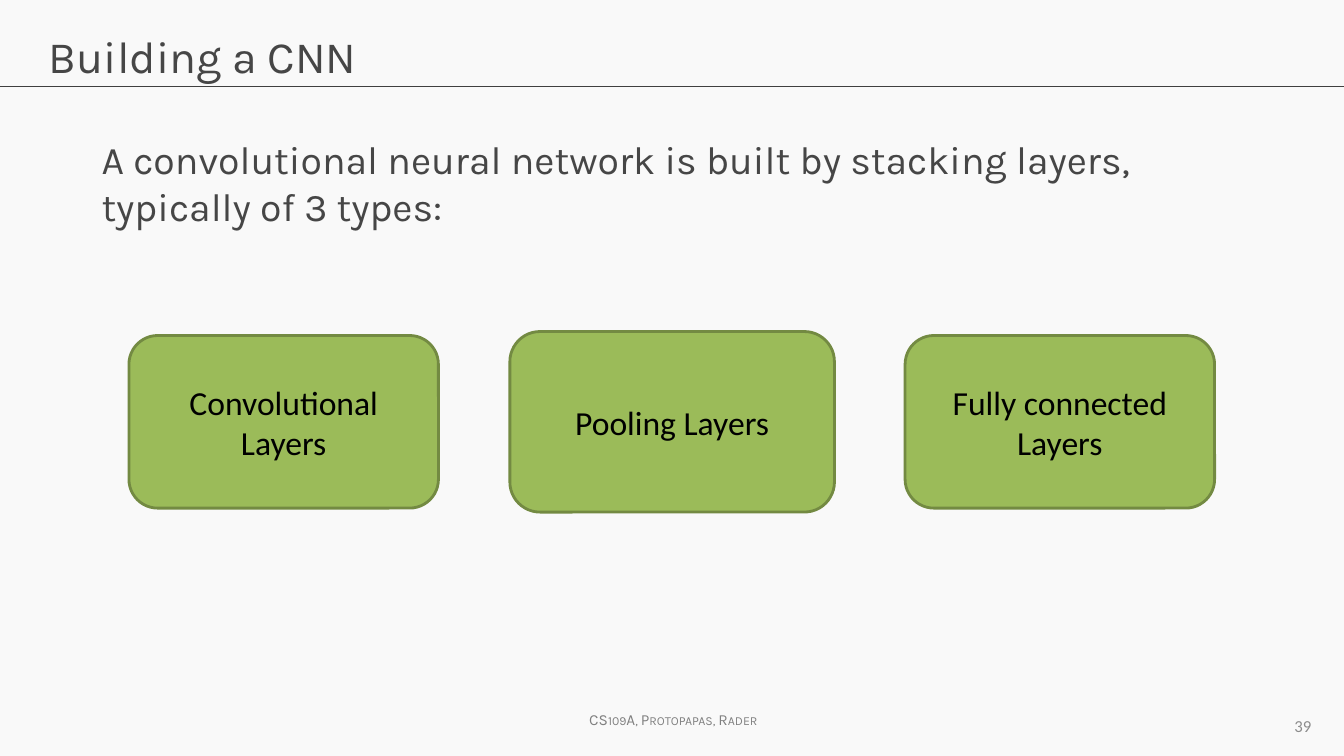
from typing import NamedTuple

from lxml import etree
from pptx import Presentation
from pptx import util as u
from pptx.dml.color import RGBColor
from pptx.enum import shapes, text
from pptx.oxml.ns import qn

SLIDE_WIDTH, SLIDE_HEIGHT = 33.87, 19.05
ROW_MIDDLE = 10.63
GREY = "464646"


class LayerBox(NamedTuple):
    label: str
    left: float
    width: float
    height: float


LAYER_BOXES = [
    LayerBox("Convolutional Layers", 3.25, 7.8, 4.35),
    LayerBox("Pooling Layers", 12.85, 8.18, 4.55),
    LayerBox("Fully connected Layers", 22.81, 7.8, 4.35),
]


def color(value: str) -> RGBColor:
    return RGBColor.from_string(value)


def write(shape, content: str, *, size: float, font: str = "Karla", fill: str = GREY,
          align=text.PP_ALIGN.LEFT, anchor=text.MSO_ANCHOR.TOP,
          wrap: bool = True, small_caps: bool = False) -> None:
    frame = shape.text_frame
    frame.word_wrap = wrap
    frame.vertical_anchor = anchor
    paragraph = frame.paragraphs[0]
    paragraph.alignment = align
    run = paragraph.add_run()
    run.text = content
    run.font.size = u.Pt(size)
    run.font.name = font
    run.font.color.rgb = color(fill)
    if small_caps:
        run.font._element.set("cap", "small")


def add_text(slide, content: str, left: float, top: float, width: float, height: float,
             **text_format) -> None:
    box = slide.shapes.add_textbox(u.Cm(left), u.Cm(top), u.Cm(width), u.Cm(height))
    write(box, content, **text_format)


def add_title_rule(slide, top: float) -> None:
    rule = slide.shapes.add_connector(
        shapes.MSO_CONNECTOR.STRAIGHT, 0, u.Cm(top), u.Cm(SLIDE_WIDTH), u.Cm(top))
    rule.line.color.rgb = color("404040")
    rule.line.width = u.Pt(0.75)
    etree.SubElement(rule._element.spPr, qn("a:effectLst"))


def add_layer_box(slide, box: LayerBox) -> None:
    """Draw a rounded box centred on the row's middle line."""
    shape = slide.shapes.add_shape(
        shapes.MSO_SHAPE.ROUNDED_RECTANGLE, u.Cm(box.left),
        u.Cm(ROW_MIDDLE - box.height / 2), u.Cm(box.width), u.Cm(box.height))
    shape.shadow.inherit = False
    shape.fill.solid()
    shape.fill.fore_color.rgb = color("9BBB59")
    shape.line.color.rgb = color("738A42")
    shape.line.width = u.Pt(2)
    write(shape, box.label, size=24, font="Calibri", fill="000000",
          align=text.PP_ALIGN.CENTER, anchor=text.MSO_ANCHOR.MIDDLE)


def main() -> None:
    presentation = Presentation()
    presentation.slide_width = u.Cm(SLIDE_WIDTH)
    presentation.slide_height = u.Cm(SLIDE_HEIGHT)
    slide = presentation.slides.add_slide(presentation.slide_layouts[6])
    slide.background.fill.solid()
    slide.background.fill.fore_color.rgb = color("F9F9F9")

    add_title_rule(slide, 2.19)
    add_text(slide, "Building a CNN", 0.98, 0.6, 31.93, 2.13, size=32)
    add_text(slide, "A convolutional neural network is built by stacking layers, "
             "typically of 3 types:", 2.31, 3.28, 28.68, 13.49, size=28)
    for box in LAYER_BOXES:
        add_layer_box(slide, box)
    add_text(slide, "CS109A, Protopapas, Rader", 14.6, 17.78, 5, 0.74,
             size=11, fill="808080", wrap=False, small_caps=True)
    add_text(slide, "39", 25.4, 17.78, 7.9, 1.02, size=12, font="Calibri", fill="8C8C8C",
             align=text.PP_ALIGN.RIGHT, anchor=text.MSO_ANCHOR.MIDDLE)

    presentation.save("out.pptx")


if __name__ == "__main__":
    main()
